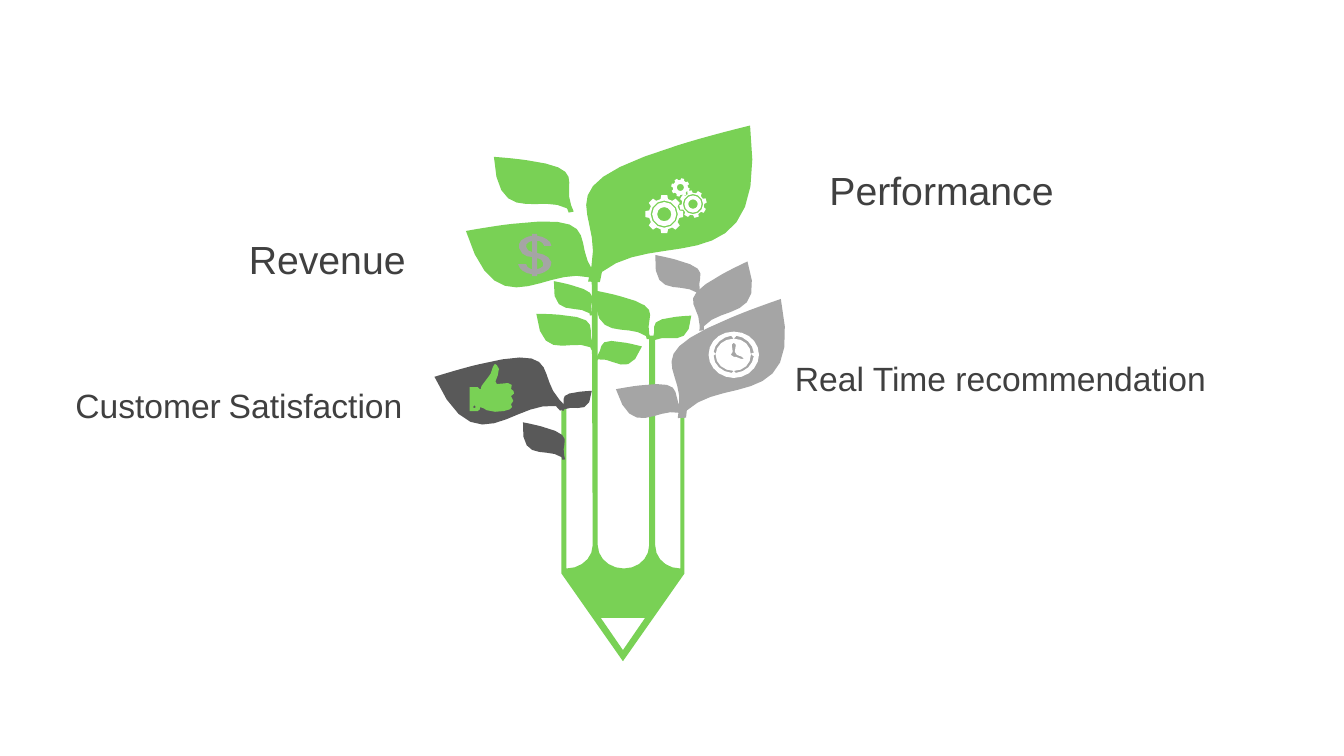
from dataclasses import dataclass
from math import cos, dist, radians, sin, sqrt

from pptx import Presentation
from pptx.dml.color import RGBColor
from pptx.enum.text import PP_ALIGN
from pptx.shapes.autoshape import Shape
from pptx.slide import Slide
from pptx.util import Pt

Point = tuple[float, float]
Contour = list[Point]


@dataclass(frozen=True)
class Theme:
    font: str = "Arial"
    green: str = "79D155"
    grey: str = "A5A5A5"
    dark: str = "595959"
    white: str = "FFFFFF"
    ink: str = "404040"
    large: float = 28
    medium: float = 24
    small: float = 20


@dataclass(frozen=True)
class Leaf:
    x: float
    y: float
    width: float
    angle: float
    colour: str
    faces_right: bool = False


@dataclass(frozen=True)
class Gear:
    x: float
    y: float
    radius: float
    angle: float
    rings: tuple[float, ...]


@dataclass(frozen=True)
class Label:
    left: float
    top: float
    width: float
    height: float
    align: PP_ALIGN
    spans: tuple[tuple[str, float], ...]


THEME = Theme()
GRID = 0.72
SMOOTHNESS = 0.7

LEAF = """M 26,-53 C -118,-54 -63,-16 -91,35 L -99,49 -88,53 -83,44
C -15,18 70,111 101,-50 C 71,-52 46,-53 26,-53"""

PENCIL = """M 640,613 L 618,645 596,613
M 650,333 L 644,333 644,541 C 644,554 633,564 619,564 C 605,564 593,554 593,541
L 593,270 587,268 588,541 C 588,554 576,564 562,564 L 562,405 557,405 557,569
618,656 679,569 679,405 675,405 675,564 C 661,564 650,554 650,541"""

CLOCK = """M 728,340 L 726,342 727,349 725,352
C 725,353 726,354 728,354 L 730,354 735,356 738,356 736,354 731,352
729,349 730,343 730,342
M 728,336 C 738,336 745,343 745,352 C 745,361 738,368 728,368
C 718,368 710,361 710,352 C 710,343 718,336 728,336
M 726,333 C 717,334 709,341 708,349 L 710,351 708,353
C 708,362 716,369 726,370 L 728,368 730,370
C 740,369 747,362 748,353 L 747,353 745,351 747,350
748,350 C 747,341 739,334 730,333 L 730,334 728,336 726,334
M 728,329 C 742,329 753,339 753,352 C 753,364 742,375 728,375
C 714,375 703,364 703,352 C 703,339 714,329 728,329"""

DOLLAR = """M 533,256 L 533,267 536,266 C 539,265 540,263 539,261 C 539,258 536,257 533,256
M 528,239 L 525,240 C 523,241 521,243 522,245 C 523,248 525,250 528,250
M 528,232 L 533,232 533,234 538,235 C 543,237 547,240 547,244
L 540,244 C 539,242 538,240 535,239 L 533,239 533,251
C 539,252 545,254 547,260 C 547,264 545,268 540,270 C 538,271 535,272 533,272
L 533,274 528,274 528,272 523,271 C 518,269 515,266 514,262
L 522,262 C 522,264 524,266 527,267 L 528,267 528,255
C 523,255 517,253 515,246 C 514,242 516,238 521,236 C 523,235 526,234 528,234"""

THUMB = """M 471,402 L 469,404 471,405 472,404
M 491,361 C 492,361 494,363 495,366 C 496,372 488,381 493,381 C 498,381 500,380 504,380
C 508,380 509,383 507,386 C 510,387 512,391 507,393 C 511,396 509,400 507,401
C 509,403 508,405 506,406 C 502,408 490,410 483,407 C 480,405 478,404 476,404
L 476,406 474,408 466,408 466,384 474,384 476,386
477,386 C 477,384 478,382 480,380 C 483,375 488,372 489,364 C 489,362 490,361 491,361"""

LEAVES = (
    Leaf(497, 389, 120, -13.5, THEME.dark),
    Leaf(723, 356, 140, -22.8, THEME.grey, True),
    Leaf(561.5, 329, 61, 4.8, THEME.green),
    Leaf(645.5, 398.5, 65, -6.6, THEME.grey),
    Leaf(666, 326, 42, -6.7, THEME.green, True),
    Leaf(618.5, 312.5, 65, 15, THEME.green),
    Leaf(529, 253.5, 126, -6.4, THEME.green),
    Leaf(540, 437.5, 50, 15, THEME.dark),
    Leaf(663, 202.5, 200, -17.6, THEME.green, True),
    Leaf(673, 273, 54, 15, THEME.grey),
    Leaf(717.5, 294, 75, -29, THEME.grey, True),
    Leaf(613, 350.5, 44, 10.6, THEME.green, True),
    Leaf(530, 183, 86, 8.1, THEME.green),
    Leaf(569, 296, 46, 15, THEME.green),
    Leaf(572, 397.5, 32, -6.7, THEME.dark, True),
)

GEARS = (
    Gear(659, 212.5, 19, 0, (13.5, 12, 7)),
    Gear(687.5, 202.5, 13.7, -15, (10, 8.5, 4.7)),
    Gear(675, 186, 9.2, 15, (3.5,)),
)

LABELS = (
    Label(2.9, 164.2, 293.8, 41, PP_ALIGN.RIGHT, (("Revenue", THEME.large),)),
    Label(0.7, 271.4, 293.8, 36, PP_ALIGN.RIGHT,
          (("Customer", THEME.medium), (" ", THEME.small), ("Satisfaction", THEME.medium))),
    Label(558, 252, 310.3, 36, PP_ALIGN.RIGHT, (("Real Time recommendation ", THEME.medium),)),
    Label(585.4, 115.2, 293.8, 63.4, PP_ALIGN.LEFT, (("Performance", THEME.large),)),
)


def curve(corners: Contour, size: float) -> Contour:
    """Return points along a cubic curve, without its start, more on longer curves."""
    length = size * sum(dist(a, b) for a, b in zip(corners, corners[1:]))
    steps = max(1, round(SMOOTHNESS * sqrt(length)))
    points = []
    for step in range(1, steps + 1):
        t = step / steps
        weights = ((1 - t) ** 3, 3 * t * (1 - t) ** 2, 3 * t * t * (1 - t), t ** 3)
        points.append((sum(w * c[0] for w, c in zip(weights, corners)),
                       sum(w * c[1] for w, c in zip(weights, corners))))
    return points


def trace(outline: str, size: float = 1) -> list[Contour]:
    """Turn an outline of moves, lines and curves into closed contours."""
    contours: list[Contour] = []
    command, handles = "", []
    for token in outline.split():
        if token in "MLC":
            command = token
            continue
        x, y = token.split(",")
        handles.append((float(x), float(y)))
        if command == "M":
            contours.append(handles)
            handles = []
        elif command == "L" or len(handles) == 3:
            contour = contours[-1]
            contour += curve([contour[-1], *handles], size) if command == "C" else handles
            handles = []
    return contours


def polar(x: float, y: float, radius: float, degrees: float) -> Point:
    """Return the point at a clockwise angle from straight up."""
    return x + radius * sin(radians(degrees)), y - radius * cos(radians(degrees))


def gear_contours(gear: Gear) -> list[Contour]:
    """Return an eight-toothed rim and its inner rings."""
    tooth = ((-14, 0.81), (-9, 1), (9, 1), (14, 0.81))
    rim = [polar(gear.x, gear.y, gear.radius * reach, gear.angle + 45 * number + offset)
           for number in range(8) for offset, reach in tooth]
    rings = [[polar(gear.x, gear.y, ring, degrees) for degrees in range(0, 360, 30)]
             for ring in gear.rings]
    return [rim, *rings]


def draw_contours(page: Slide, contours: list[Contour], colour: str) -> Shape:
    """Draw closed contours as one filled freeform."""
    scaled = [[(Pt(x * GRID), Pt(y * GRID)) for x, y in contour] for contour in contours]
    builder = page.shapes.build_freeform(*scaled[0][0], scale=1.0)
    for index, contour in enumerate(scaled):
        if index:
            builder.move_to(*contour[0])
        builder.add_line_segments(contour[1:], close=True)
    shape = builder.convert_to_shape()
    shape.shadow.inherit = False
    shape.fill.solid()
    shape.fill.fore_color.rgb = RGBColor.from_string(colour)
    shape.line.fill.background()
    return shape


def draw_leaf(page: Slide, leaf: Leaf) -> None:
    """Draw one leaf, mirrored and turned as described."""
    size = leaf.width / 200
    side = size if leaf.faces_right else -size
    contours = [[(leaf.x + x * side, leaf.y + y * size) for x, y in contour]
                for contour in trace(LEAF, size)]
    draw_contours(page, contours, leaf.colour).rotation = leaf.angle


def draw_label(page: Slide, label: Label) -> None:
    """Write one label, run by run."""
    box = page.shapes.add_textbox(Pt(label.left), Pt(label.top), Pt(label.width), Pt(label.height))
    box.text_frame.word_wrap = True
    para = box.text_frame.paragraphs[0]
    para.alignment = label.align
    for text, size in label.spans:
        span = para.add_run()
        span.text = text
        span.font.name = THEME.font
        span.font.size = Pt(size)
        span.font.color.rgb = RGBColor.from_string(THEME.ink)


def main() -> None:
    """Build the pencil plant slide and save it."""
    deck = Presentation()
    deck.slide_width, deck.slide_height = Pt(960), Pt(540)
    page = deck.slides.add_slide(deck.slide_layouts[6])
    draw_contours(page, trace(PENCIL), THEME.green)
    for leaf in LEAVES:
        draw_leaf(page, leaf)
    draw_contours(page, [contour for gear in GEARS for contour in gear_contours(gear)], THEME.white)
    draw_contours(page, trace(CLOCK), THEME.white)
    for label in LABELS:
        draw_label(page, label)
    draw_contours(page, trace(DOLLAR), THEME.grey)
    draw_contours(page, trace(THUMB), THEME.green)
    deck.save("out.pptx")


if __name__ == "__main__":
    main()
